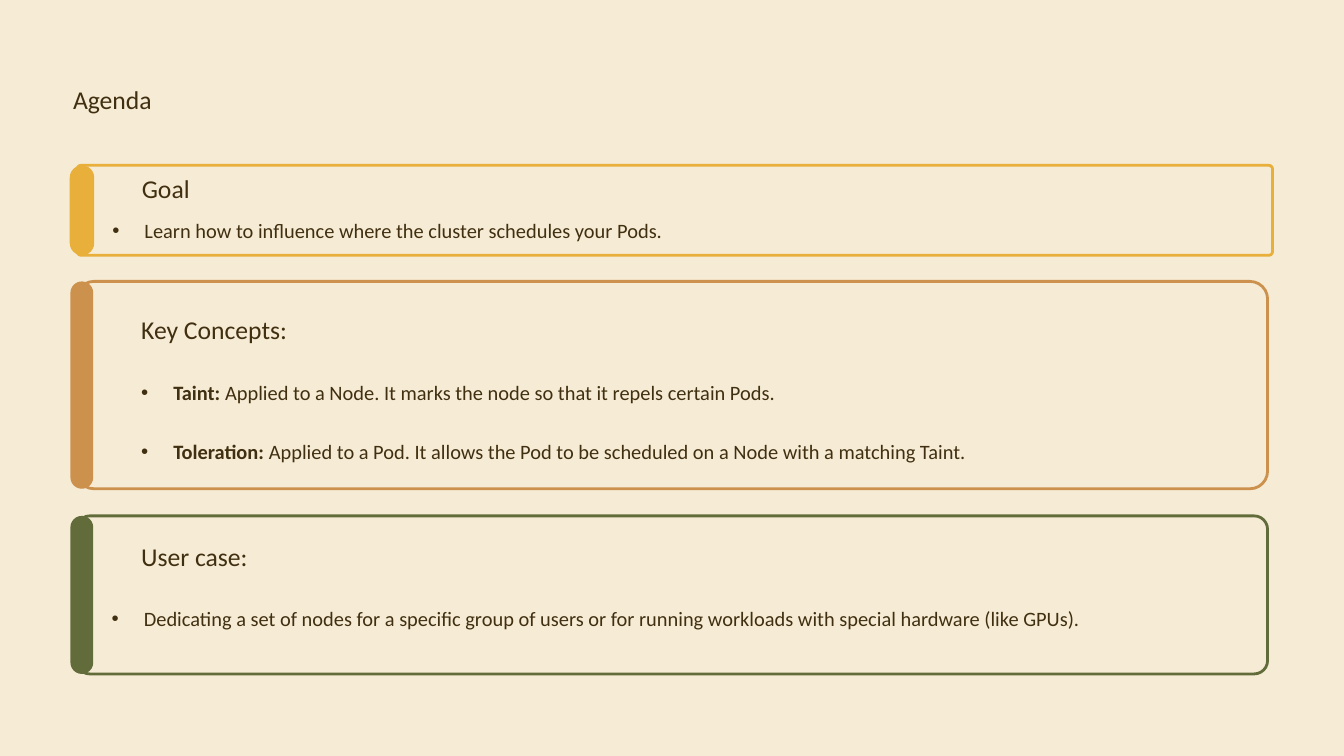
from lxml import etree
from pptx import Presentation
from pptx import util as u
from pptx.dml.color import RGBColor
from pptx.enum import shapes
from pptx.oxml.ns import qn

COLORS = {
    "background": "F6EBD4",
    "text": "403011",
    "goal": "E8AF3B",
    "concepts": "CC914D",
    "case": "626C3B",
}


class AgendaSlide:
    font = "Calibri"
    heading_size = u.Pt(22)
    body_size = u.Pt(17.5)
    bullet_indent = u.Cm(0.97)

    def __init__(self, presentation):
        self.slide = presentation.slides.add_slide(presentation.slide_layouts[6])
        fill = self.slide.background.fill
        fill.solid()
        fill.fore_color.rgb = self.color("background")

    @staticmethod
    def color(name):
        return RGBColor.from_string(COLORS[name])

    def rounded(self, box, corner):
        shape = self.slide.shapes.add_shape(
            shapes.MSO_SHAPE.ROUNDED_RECTANGLE, *map(u.Cm, box))
        shape.adjustments[0] = corner
        shape.shadow.inherit = False
        return shape

    def card(self, color, frame, bar_left, bar_width, corner):
        """Outlined frame with a filled bar over its left edge."""
        outline = self.rounded(frame, corner)
        outline.fill.background()
        outline.line.color.rgb = self.color(color)
        outline.line.width = u.Pt(2.4)
        bar = self.rounded((bar_left, frame[1], bar_width, frame[3]), 0.5)
        bar.fill.solid()
        bar.fill.fore_color.rgb = self.color(color)
        bar.line.fill.background()

    def text_frame(self, left, top, width, height):
        frame = self.slide.shapes.add_textbox(
            *map(u.Cm, (left, top, width, height))).text_frame
        frame.word_wrap = True
        frame.margin_left = frame.margin_right = 0
        frame.margin_top = frame.margin_bottom = 0
        return frame

    def run(self, paragraph, words, size, bold=False):
        run = paragraph.add_run()
        run.text = words
        run.font.name = self.font
        run.font.size = size
        run.font.bold = bold
        run.font.color.rgb = self.color("text")

    def heading(self, words, left, top, width=30, height=1):
        paragraph = self.text_frame(left, top, width, height).paragraphs[0]
        paragraph.line_spacing = u.Pt(27.5)
        self.run(paragraph, words, self.heading_size)

    def bullets(self, items, left, top, width=32.6, height=1.3):
        """Each item is a bold lead-in, which may be empty, and its text."""
        frame = self.text_frame(left, top, width, height)
        for index, (term, words) in enumerate(items):
            paragraph = frame.add_paragraph() if index else frame.paragraphs[0]
            paragraph.line_spacing = u.Pt(28.5)
            paragraph.space_before = u.Pt(11.9)
            paragraph.space_after = u.Pt(9.9)
            self.add_bullet(paragraph)
            if term:
                self.run(paragraph, term, self.body_size, bold=True)
            self.run(paragraph, words, self.body_size)

    def add_bullet(self, paragraph):
        properties = paragraph._p.get_or_add_pPr()
        properties.set("marL", str(self.bullet_indent))
        properties.set("indent", str(-self.bullet_indent))
        color = etree.SubElement(properties, qn("a:buClr"))
        etree.SubElement(color, qn("a:srgbClr"), val=COLORS["text"])
        etree.SubElement(properties, qn("a:buFont"), typeface="Arial")
        etree.SubElement(properties, qn("a:buChar"), char="•")


def main():
    presentation = Presentation()
    presentation.slide_width = u.Cm(40.64)
    presentation.slide_height = u.Cm(22.86)
    agenda = AgendaSlide(presentation)

    agenda.heading("Agenda", 2.21, 2.49, width=7.87)

    agenda.card("concepts", (2.31, 8.51, 36.02, 6.27), 2.13, 0.69, 0.085)
    agenda.heading("Key Concepts:", 4.27, 9.45)
    agenda.bullets([
        ("Taint:", " Applied to a Node. It marks the node so that it repels certain Pods."),
        ("Toleration:", " Applied to a Pod. It allows the Pod to be scheduled"
                        " on a Node with a matching Taint."),
    ], 4.27, 11.23)

    agenda.card("case", (2.31, 15.6, 36.02, 4.78), 2.13, 0.69, 0.085)
    agenda.heading("User case:", 4.27, 16.31)
    agenda.bullets([
        ("", "Dedicating a set of nodes for a specific group of users or for"
             " running workloads with special hardware (like GPUs)."),
    ], 3.38, 18.06)

    agenda.card("goal", (2.34, 5, 36.14, 2.72), 2.11, 0.74, 0.04)
    agenda.heading("Goal", 4.29, 5.18)
    agenda.bullets([
        ("", "Learn how to influence where the cluster schedules your Pods."),
    ], 3.4, 6.32)

    presentation.save("out.pptx")


if __name__ == "__main__":
    main()
